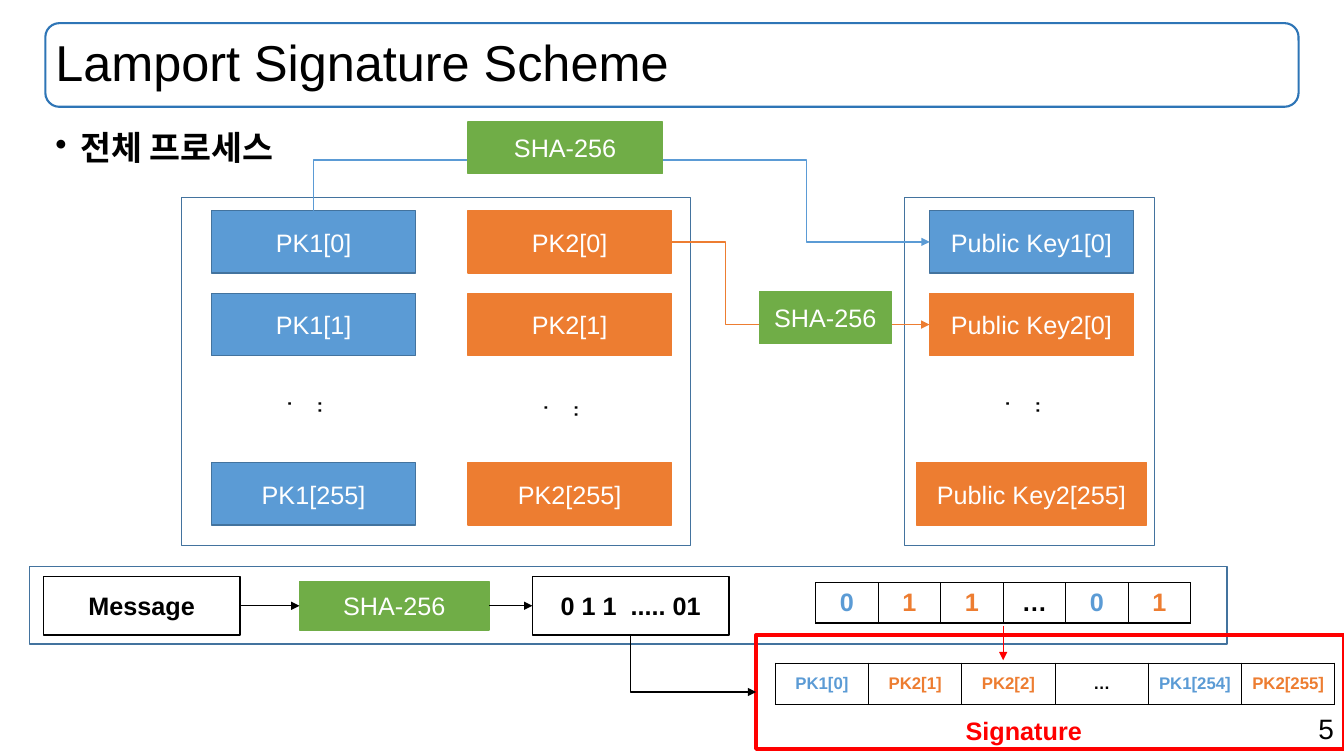
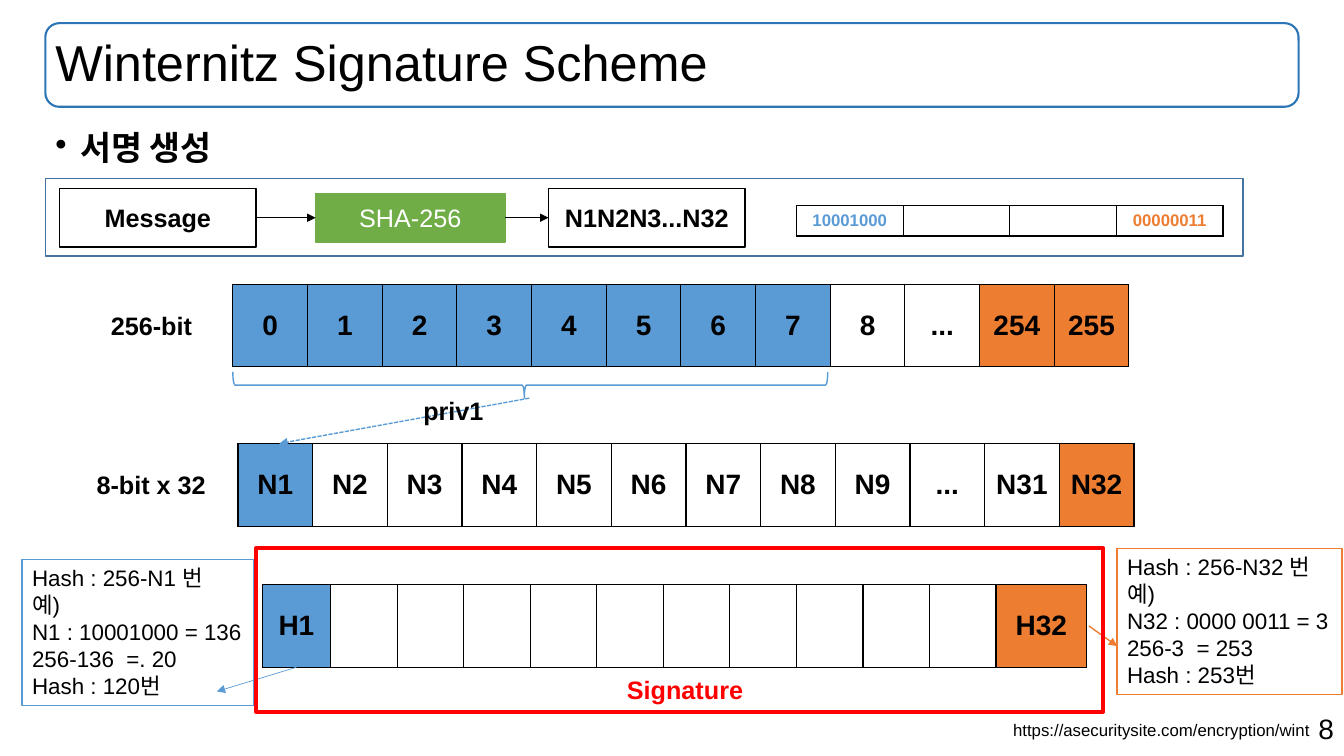
import dataclasses

import pptx
import pptx.dml.color
import pptx.enum.dml
import pptx.enum.shapes
import pptx.enum.text
import pptx.oxml.ns
import pptx.util
from lxml import etree

SCALE = 9144
ALIGN = pptx.enum.text.PP_ALIGN
ANCHOR = pptx.enum.text.MSO_ANCHOR
PRESET = pptx.enum.shapes.MSO_SHAPE
LINK = pptx.enum.shapes.MSO_CONNECTOR
DASH = pptx.enum.dml.MSO_LINE
qn = pptx.oxml.ns.qn


@dataclasses.dataclass(frozen=True)
class Theme:
    """Hold the colours and type sizes of the deck."""
    font: str = "Arial"
    ink: str = "000000"
    paper: str = "FFFFFF"
    blue: str = "5B9BD5"
    outline: str = "43739E"
    title_line: str = "2E75B6"
    orange: str = "ED7D31"
    green: str = "70AD47"
    red: str = "FF0000"
    title: int = 36
    heading: int = 24
    large: int = 20
    label: int = 18
    note: int = 16
    small: int = 12


THEME = Theme()
TONES = {"b": THEME.blue, "o": THEME.orange, "-": None}


@dataclasses.dataclass(frozen=True)
class Box:
    """Describe a rectangle in px."""
    x: int
    y: int
    w: int
    h: int

    def inner(self, dx, dy, w, h):
        """Return a box placed relative to this one."""
        return Box(self.x + dx, self.y + dy, w, h)

    def top(self):
        """Return the middle of the top side."""
        return self.x + self.w / 2, self.y

    def left(self):
        """Return the middle of the left side."""
        return self.x, self.y + self.h / 2

    def bottom(self):
        """Return the middle of the bottom side."""
        return self.x + self.w / 2, self.y + self.h

    def right(self):
        """Return the middle of the right side."""
        return self.x + self.w, self.y + self.h / 2

    def emu(self):
        """Return the four lengths in EMU."""
        return [px(n) for n in (self.x, self.y, self.w, self.h)]


def px(length):
    """Turn px into EMU."""
    return pptx.util.Emu(round(length * SCALE))


def rgb(color):
    """Turn a hex string into a colour."""
    return pptx.dml.color.RGBColor.from_string(color)


def write(frame, text, size=THEME.label, color=THEME.ink, bold=False,
          align=ALIGN.LEFT, spacing=None, bullet=None):
    """Fill a text frame with one paragraph per line of text."""
    for number, line in enumerate(text.split("\n")):
        paragraph = frame.add_paragraph() if number else frame.paragraphs[0]
        paragraph.alignment = align
        if bullet:
            props = paragraph._p.get_or_add_pPr()
            props.set("marL", str(px(25)))
            props.set("indent", str(-px(25)))
            etree.SubElement(props, qn("a:buChar"), char=bullet)
        if spacing:
            paragraph.line_spacing = spacing
        if not line:
            etree.SubElement(paragraph._p, qn("a:endParaRPr"), sz=str(size * 100))
            continue
        run = paragraph.add_run()
        run.text = line
        run.font.name = THEME.font
        run.font.size = pptx.util.Pt(size)
        run.font.bold = bold
        run.font.color.rgb = rgb(color)


def caption(slide, box, text, wrap=False, anchor=ANCHOR.TOP, vertical=False, **style):
    """Place free text."""
    frame = slide.shapes.add_textbox(*box.emu()).text_frame
    frame.word_wrap = wrap
    frame.vertical_anchor = anchor
    if vertical:
        frame._txBody.bodyPr.set("vert", "eaVert")
    write(frame, text, **style)


def block(slide, box, text="", fill=None, line=THEME.ink, weight=1,
          preset=PRESET.RECTANGLE, anchor=ANCHOR.MIDDLE, wrap=True, **style):
    """Place an outlined or filled shape with its text."""
    shape = slide.shapes.add_shape(preset, *box.emu())
    shape.shadow.inherit = False
    if fill:
        shape.fill.solid()
        shape.fill.fore_color.rgb = rgb(fill)
    else:
        shape.fill.background()
    shape.line.color.rgb = rgb(line)
    shape.line.width = pptx.util.Pt(weight)
    if text:
        shape.text_frame.word_wrap = wrap
        shape.text_frame.vertical_anchor = anchor
        write(shape.text_frame, text, **{"align": ALIGN.CENTER, **style})
    return shape


def arrow(slide, start, end, color=THEME.ink, weight=1, dash=None, kind=LINK.STRAIGHT):
    """Draw a connector with an arrowhead at its end."""
    link = slide.shapes.add_connector(kind, *[px(n) for n in (*start, *end)])
    link.line.color.rgb = rgb(color)
    link.line.width = pptx.util.Pt(weight)
    if dash:
        link.line.dash_style = dash
    props = link._element.spPr
    etree.SubElement(props.find(qn("a:ln")), qn("a:tailEnd"), type="triangle")
    etree.SubElement(props, qn("a:effectLst"))
    return link


def elbow(slide, start, end, bends, color=THEME.ink, adjust=(), turned=False):
    """Draw a bent arrow, turned when it leaves vertically."""
    link = arrow(slide, start, end, color, kind=LINK.ELBOW)
    props = link._element.spPr
    if turned:
        wide, high = link.width, link.height
        link.left += (wide - high) // 2
        link.top += (high - wide) // 2
        link.width, link.height = high, wide
        frame = props.find(qn("a:xfrm"))
        frame.set("rot", "16200000")
        frame.set("flipH", "1")
    outline = props.find(qn("a:prstGeom"))
    outline.set("prst", f"bentConnector{bends}")
    guides = outline.find(qn("a:avLst"))
    for number, value in enumerate(adjust, 1):
        etree.SubElement(guides, qn("a:gd"), name=f"adj{number}",
                         fmla=f"val {round(value * 100000)}")


def strip(slide, box, texts, tones, size, filled=False, widths=None):
    """Place a one-row table whose tones colour the cells or their text."""
    table = slide.shapes.add_table(1, len(texts), *box.emu()).table
    table.first_row = table.horz_banding = False
    table.rows[0].height = px(box.h)
    widths = widths or [box.w / len(texts)] * len(texts)
    for column, cell, text, tone, width in zip(
            table.columns, table.rows[0].cells, texts, tones, widths):
        column.width = px(width)
        cell.vertical_anchor = ANCHOR.MIDDLE
        for side in "LRTB":
            edge = etree.SubElement(cell._tc.get_or_add_tcPr(), qn(f"a:ln{side}"), w="12700")
            paint = etree.SubElement(edge, qn("a:solidFill"))
            etree.SubElement(paint, qn("a:srgbClr"), val=THEME.ink)
        color = TONES[tone]
        if filled and color:
            cell.fill.solid()
            cell.fill.fore_color.rgb = rgb(color)
        else:
            cell.fill.background()
        write(cell.text_frame, text, size=size, bold=True, align=ALIGN.CENTER,
              color=THEME.ink if filled or not color else color)


def new_slide(deck, title, heading, page):
    """Add a slide with its title band, heading and page number."""
    slide = deck.slides.add_slide(deck.slide_layouts[6])
    band = Box(45, 23, 1243, 83)
    caption(slide, Box(943, 701, 390, 44), page, wrap=True, size=THEME.large, align=ALIGN.RIGHT)
    block(slide, band, line=THEME.title_line, weight=1.5, preset=PRESET.ROUNDED_RECTANGLE)
    caption(slide, band, title, wrap=True, anchor=ANCHOR.MIDDLE, size=THEME.title, spacing=0.9)
    caption(slide, Box(45, 126, 1243, 50), heading, wrap=True, size=THEME.heading,
            bold=True, spacing=0.9, bullet="•")
    return slide


def hash_block(slide, box):
    """Place a green hash step."""
    return block(slide, box, "SHA-256", fill=THEME.green, line=THEME.green, color=THEME.paper)


def key_column(slide, box, labels, tones, dots_drop, last_extra=0):
    """Stack three keys with dots before the last and return their boxes."""
    keys = []
    for label, tone, dy, extra in zip(labels, tones, (0, 82, 250), (0, 0, last_extra)):
        key = box.inner(-extra, dy, box.w + 2 * extra, 62)
        block(slide, key, label, fill=TONES[tone], color=THEME.paper,
              line=THEME.outline if tone == "b" else TONES[tone])
        keys.append(key)
    caption(slide, box.inner(87, dots_drop, 49, 35), "...", wrap=True, vertical=True)
    return keys


def message_band(slide, box, digest):
    """Show the message hashed into a digest and return the digest box."""
    block(slide, box, line=THEME.outline)
    digest_box = box.inner(499, 10, 195, 58)
    message = block(slide, box.inner(14, 10, 195, 58), "Message", bold=True)
    hashing = hash_block(slide, box.inner(268, 15, 188, 48))
    result = block(slide, digest_box, digest, bold=True)
    for source, target in ((message, hashing), (hashing, result)):
        link = arrow(slide, (0, 0), (1, 1))
        link.begin_connect(source, 3)
        link.end_connect(target, 1)
    return digest_box


def signature_frame(slide, box, dx, dy):
    """Draw the red signature frame with its label."""
    block(slide, box, line=THEME.red, weight=3)
    caption(slide, box.inner(dx, dy, 137, 40), "Signature", color=THEME.red, bold=True)


def hash_note(slide, box, text, color):
    """Place an outlined note on the hash count."""
    block(slide, box, text, line=color, size=THEME.note, align=ALIGN.LEFT,
          anchor=ANCHOR.TOP, wrap=False)


def key_exchange(slide, box):
    """Show private keys hashed into public keys."""
    private = box.inner(0, 75, 505, 345)
    public = box.inner(717, 75, 248, 345)
    first = key_column(slide, private.inner(30, 13, 202, 312),
                       ["PK1[0]", "PK1[1]", "PK1[255]"], "bbb", 178)
    second = key_column(slide, private.inner(284, 13, 202, 312),
                        ["PK2[0]", "PK2[1]", "PK2[255]"], "ooo", 182)
    shared = key_column(slide, public.inner(25, 13, 202, 312),
                        ["Public Key1[0]", "Public Key2[0]", "Public Key2[255]"], "boo", 178, 13)
    block(slide, private, line=THEME.outline)
    block(slide, public, line=THEME.outline)
    elbow(slide, first[0].top(), shared[0].left(), 4, THEME.blue, (-1.63, 0.8), turned=True)
    elbow(slide, second[0].right(), shared[1].left(), 3, THEME.orange, (0.21,))
    hash_block(slide, box.inner(284, 0, 193, 51))
    hash_block(slide, box.inner(573, 168, 131, 52))


def lamport_slide(deck):
    """Build the Lamport process slide."""
    slide = new_slide(deck, "Lamport Signature Scheme", "전체 프로세스", "5")
    key_exchange(slide, Box(180, 121, 965, 420))
    band = Box(29, 562, 1188, 77)
    digest = message_band(slide, band, "0 1 1  ..... 01")
    strip(slide, band.inner(780, 16, 372, 39), ["0", "1", "1", "…", "0", "1"], "boo-bo", THEME.label)
    signature = Box(750, 630, 583, 113)
    strip(slide, signature.inner(19, 28, 555, 41),
          ["PK1[0]", "PK2[1]", "PK2[2]", "…", "PK1[254]", "PK2[255]"], "boo-bo", THEME.small)
    arrow(slide, (995, 621), (995, 655), THEME.red)
    signature_frame(slide, signature, 198, 75)
    elbow(slide, digest.bottom(), signature.left(), 2, turned=True)


def bit_split(slide, box):
    """Show 256 bits split into 32 numbers of 8 bits."""
    bits = [str(n) for n in range(9)] + ["...", "254", "255"]
    numbers = [f"N{n}" for n in range(1, 10)] + ["...", "N31", "N32"]
    strip(slide, box.inner(145, 0, 889, 82), bits, "bbbbbbbb--oo", THEME.large, filled=True)
    strip(slide, box.inner(150, 158, 889, 82), numbers, "b----------o", THEME.large, filled=True)
    caption(slide, box.inner(14, 21, 102, 40), "256-bit", bold=True)
    caption(slide, box.inner(0, 179, 130, 40), "8-bit x 32", bold=True)
    brace = block(slide, box.inner(427, -195, 26, 590), line=THEME.blue, preset=PRESET.LEFT_BRACE)
    brace.rotation = 270
    brace.adjustments[0], brace.adjustments[1] = 0.08, 0.49
    arrow(slide, (box.x + 439, box.y + 113), (box.x + 191, box.y + 158),
          THEME.blue, dash=DASH.SQUARE_DOT)
    caption(slide, box.inner(324, 105, 81, 40), "priv1", bold=True)


def winternitz_slide(deck):
    """Build the Winternitz signing slide."""
    slide = new_slide(deck, "Winternitz Signature Scheme", "서명 생성", "8")
    band = Box(45, 177, 1188, 77)
    message_band(slide, band, "N1N2N3...N32")
    strip(slide, band.inner(745, 27, 423, 30), ["10001000", "", "", "00000011"], "b--o", THEME.small)
    bit_split(slide, Box(86, 282, 1039, 240))
    caption(slide, Box(995, 709, 317, 30), "https://asecuritysite.com/encryption/wint", size=THEME.small)
    signature = Box(254, 544, 840, 162)
    strip(slide, signature.inner(6, 36, 818, 82), ["H1"] + [""] * 10 + ["H32"], "b----------o",
          THEME.large, filled=True, widths=[68] + [66] * 10 + [90])
    hash_note(slide, Box(22, 555, 230, 145),
              "Hash : 256-N1 번\n예)\nN1 : 10001000 = 136\n256-136  =. 20\nHash : 120번", THEME.blue)
    arrow(slide, (294, 662), (215, 686), THEME.blue, weight=0.5)
    hash_note(slide, Box(1108, 544, 223, 145),
              "Hash : 256-N32 번\n예)\nN32 : 0000 0011 = 3\n256-3  = 253\nHash : 253번", THEME.orange)
    arrow(slide, (1080, 621), (1108, 641), THEME.orange)
    signature_frame(slide, signature, 358, 120)


def main():
    """Build and save the deck."""
    deck = pptx.Presentation()
    deck.slide_width, deck.slide_height = px(1333), px(750)
    lamport_slide(deck)
    winternitz_slide(deck)
    deck.save("out.pptx")


if __name__ == "__main__":
    main()
